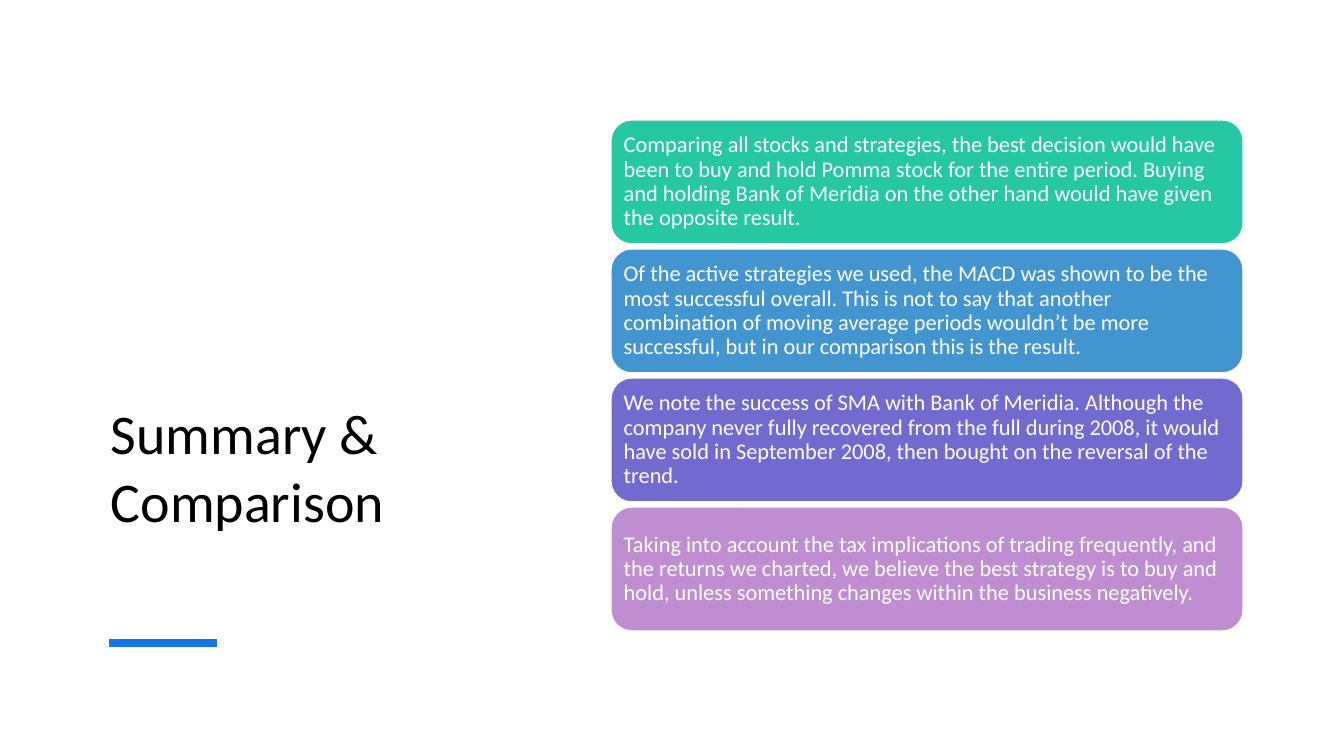
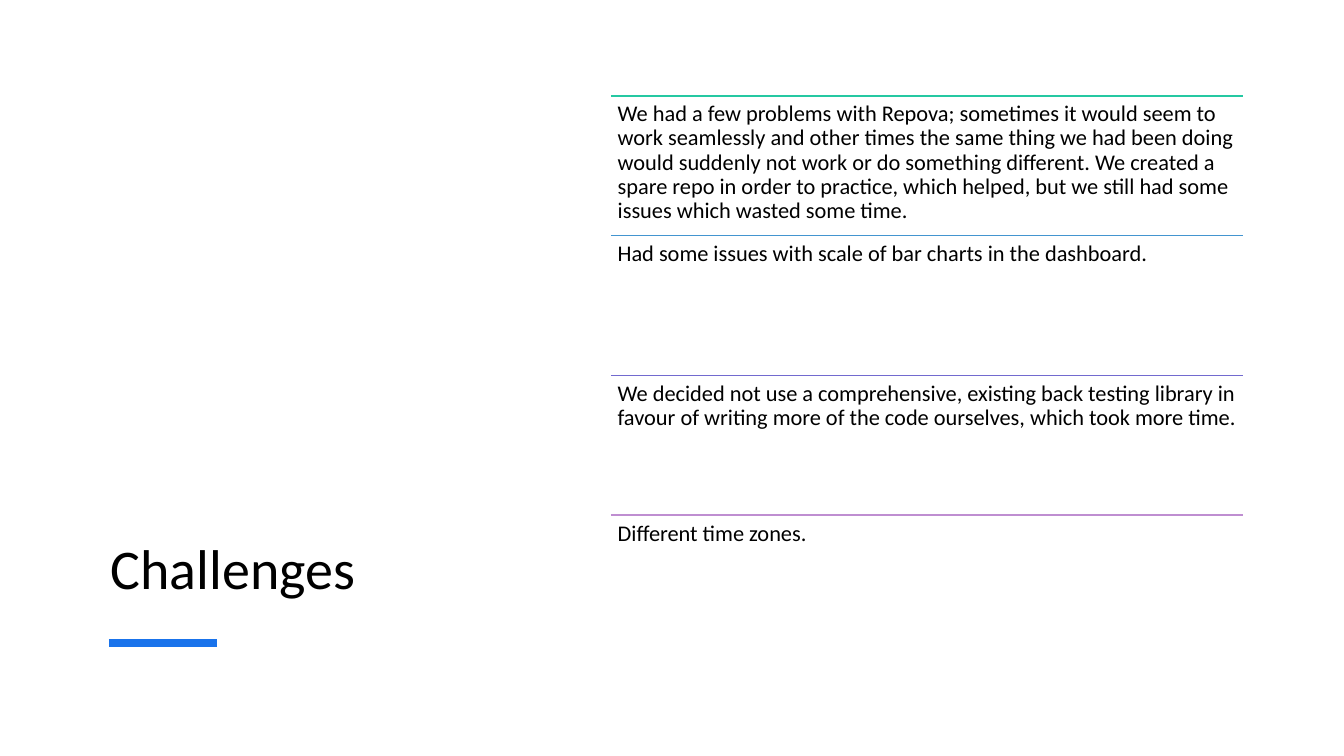
from lxml import etree
from pptx import Presentation
from pptx.dml.color import RGBColor
from pptx.enum.shapes import MSO_CONNECTOR, MSO_SHAPE
from pptx.enum.text import MSO_ANCHOR, PP_ALIGN
from pptx.oxml.ns import qn
from pptx.util import Inches, Pt

FONT = "Calibri"
BLACK = RGBColor(0x00, 0x00, 0x00)
WHITE = RGBColor(0xFF, 0xFF, 0xFF)
ACCENT = RGBColor(0x19, 0x73, 0xEB)
ITEM_COLORS = [
    RGBColor(0x25, 0xC8, 0xA2),
    RGBColor(0x43, 0x95, 0xD0),
    RGBColor(0x72, 0x6A, 0xCF),
    RGBColor(0xBF, 0x8E, 0xD1),
]

SUMMARY = [
    "Comparing all stocks and strategies, the best decision would have been to buy "
    "and hold Pomma stock for the entire period. Buying and holding Bank of Meridia "
    "on the other hand would have given the opposite result.",
    "Of the active strategies we used, the MACD was shown to be the most successful "
    "overall. This is not to say that another combination of moving average periods "
    "wouldn’t be more successful, but in our comparison this is the result.",
    "We note the success of SMA with Bank of Meridia. Although the company never "
    "fully recovered from the full during 2008, it would have sold in September 2008, "
    "then bought on the reversal of the trend.",
    "Taking into account the tax implications of trading frequently, and the returns "
    "we charted, we believe the best strategy is to buy and hold, unless something "
    "changes within the business negatively.",
]
CHALLENGES = [
    "We had a few problems with Repova; sometimes it would seem to work seamlessly and "
    "other times the same thing we had been doing would suddenly not work or do "
    "something different. We created a spare repo in order to practice, which helped, "
    "but we still had some issues which wasted some time.",
    "Had some issues with scale of bar charts in the dashboard.",
    "We decided not use a comprehensive, existing back testing library in favour of "
    "writing more of the code ourselves, which took more time.",
    "Different time zones.",
]

LIST_LEFT, LIST_WIDTH = Inches(6.06), Inches(6.27)
LIST_MARGIN = Pt(4.8)
CARD_TOP, CARD_HEIGHT, CARD_GAP = Inches(1.19), Inches(1.23), Inches(0.05)
ROWS_TOP, ROWS_HEIGHT = Inches(0.95), Inches(5.55)
TITLE_TOP = Inches(1)


def write(shape, content, size, color, anchor, margin=None, line_spacing=1.0):
    frame = shape.text_frame
    frame.word_wrap = True
    frame.vertical_anchor = anchor
    if margin is not None:
        frame.margin_left = frame.margin_right = margin
        frame.margin_top = frame.margin_bottom = margin
    frame.text = content
    paragraph = frame.paragraphs[0]
    paragraph.alignment = PP_ALIGN.LEFT
    paragraph.line_spacing = line_spacing
    font = paragraph.runs[0].font
    font.name, font.size, font.color.rgb = FONT, Pt(size), color


def add_rule(slide, left, top, width, color, weight):
    rule = slide.shapes.add_connector(
        MSO_CONNECTOR.STRAIGHT, left, top, left + width, top)
    rule.line.color.rgb = color
    rule.line.width = Pt(weight)
    etree.SubElement(rule.element.spPr, qn("a:effectLst"))


def add_titled_slide(presentation, title, title_bottom):
    slide = presentation.slides.add_slide(presentation.slide_layouts[6])
    box = slide.shapes.add_textbox(
        Inches(1), TITLE_TOP, Inches(3.88), title_bottom - TITLE_TOP)
    write(box, title, 40, BLACK, MSO_ANCHOR.BOTTOM)
    add_rule(slide, Inches(1.08), Inches(6.38), Inches(1.07), ACCENT, 6)
    return slide


def add_cards(slide, items):
    for index, (item, color) in enumerate(zip(items, ITEM_COLORS)):
        top = CARD_TOP + index * (CARD_HEIGHT + CARD_GAP)
        card = slide.shapes.add_shape(
            MSO_SHAPE.ROUNDED_RECTANGLE, LIST_LEFT, top, LIST_WIDTH, CARD_HEIGHT)
        card.shadow.inherit = False
        card.fill.solid()
        card.fill.fore_color.rgb = color
        card.line.color.rgb = WHITE
        card.line.width = Pt(1)
        write(card, item, 16, WHITE, MSO_ANCHOR.MIDDLE, LIST_MARGIN, 0.9)


def add_ruled_rows(slide, items):
    height = ROWS_HEIGHT // len(items)
    for index, (item, color) in enumerate(zip(items, ITEM_COLORS)):
        top = ROWS_TOP + index * height
        add_rule(slide, LIST_LEFT, top, LIST_WIDTH, color, 1.25)
        row = slide.shapes.add_textbox(LIST_LEFT, top, LIST_WIDTH, height)
        write(row, item, 16, BLACK, MSO_ANCHOR.TOP, LIST_MARGIN, 0.9)


def main():
    presentation = Presentation()
    presentation.slide_width = Inches(13.33)
    presentation.slide_height = Inches(7.5)
    add_cards(
        add_titled_slide(presentation, "Summary & Comparison", Inches(5.34)), SUMMARY)
    add_ruled_rows(
        add_titled_slide(presentation, "Challenges", Inches(6.01)), CHALLENGES)
    presentation.save("out.pptx")


if __name__ == "__main__":
    main()
